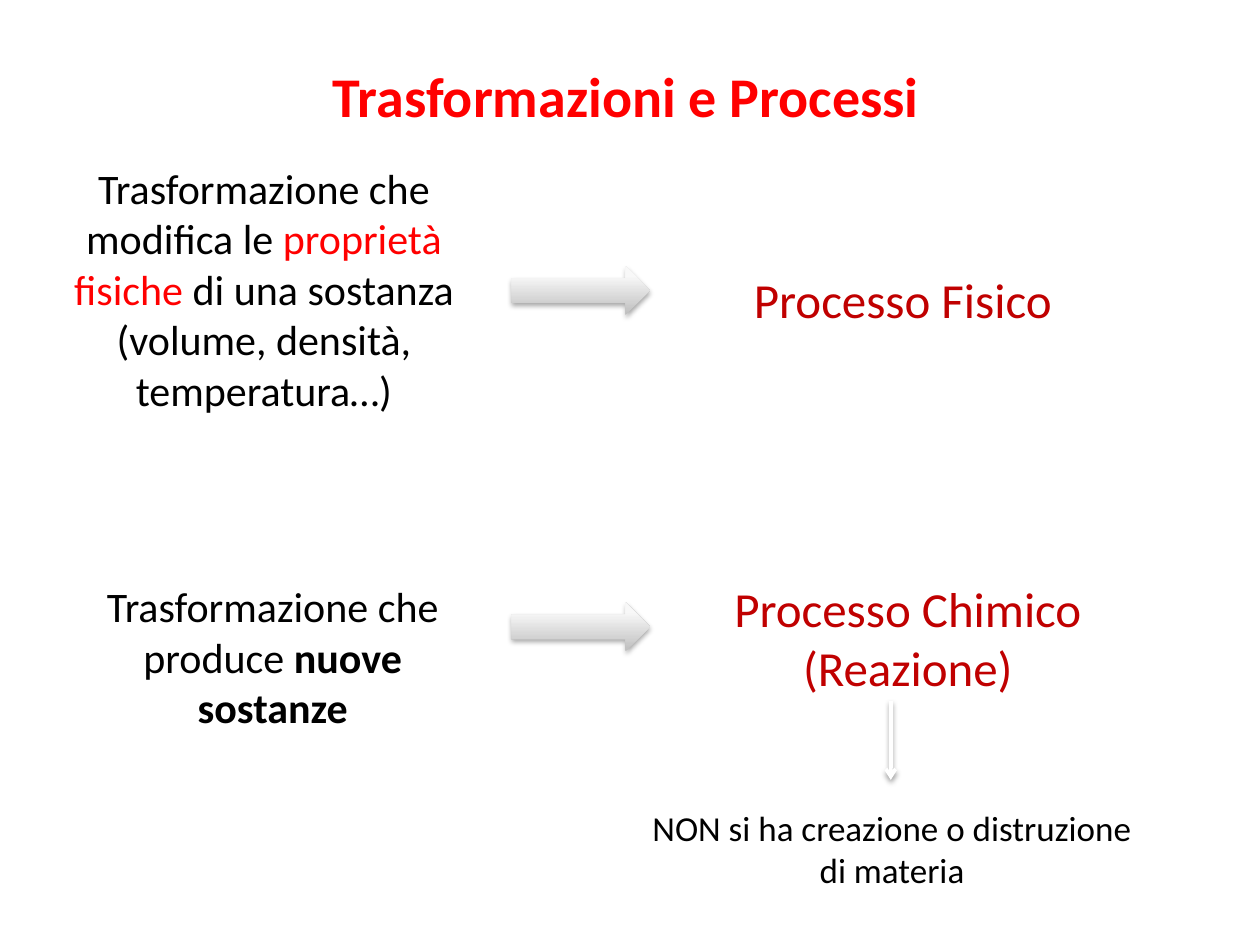
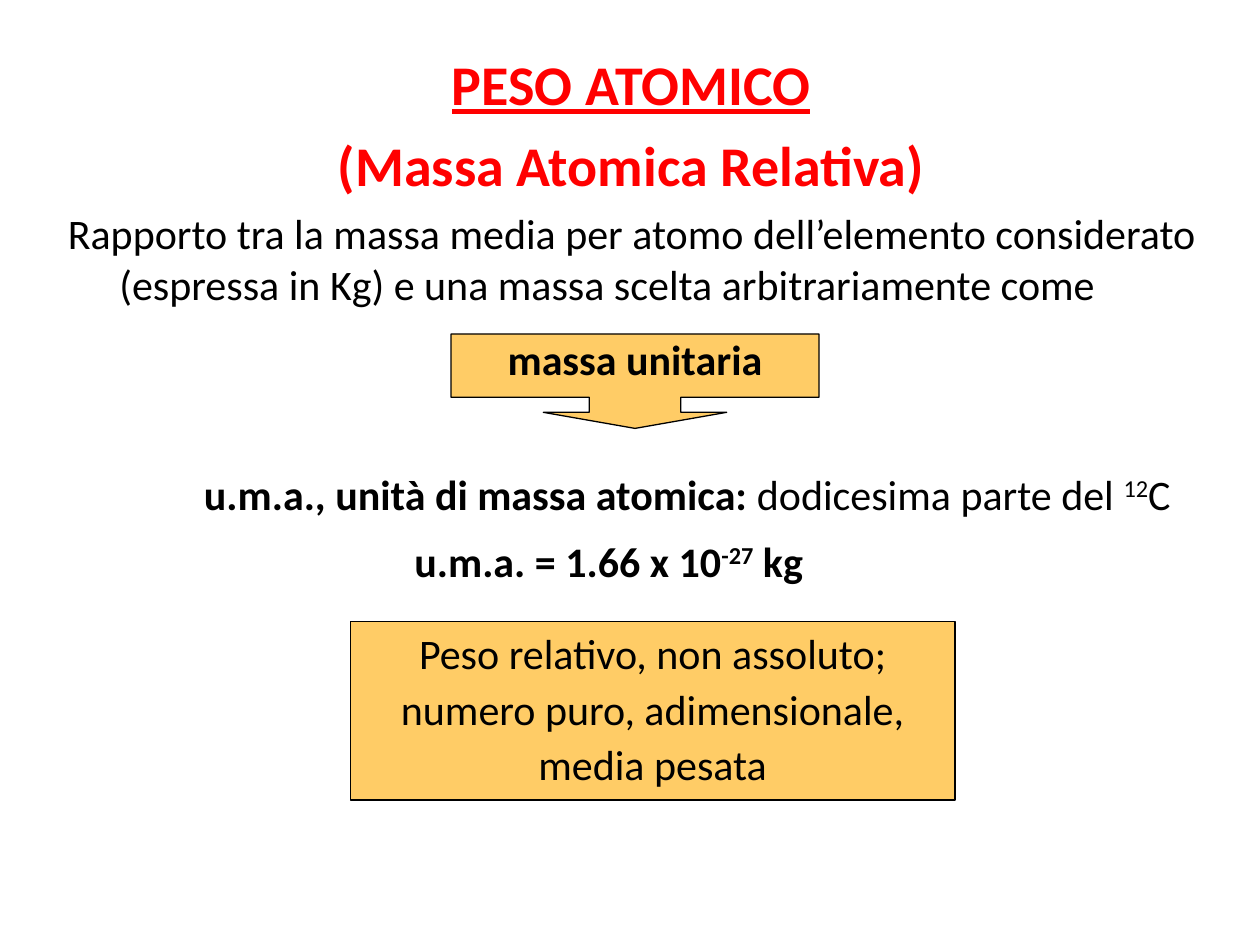
import lxml.etree
import pptx
import pptx.dml.color
import pptx.enum.shapes
import pptx.enum.text
import pptx.oxml.ns
import pptx.util

Inches = pptx.util.Inches
Pt = pptx.util.Pt
Shapes = pptx.enum.shapes.MSO_SHAPE
CENTER = pptx.enum.text.PP_ALIGN.CENTER
LEFT = pptx.enum.text.PP_ALIGN.LEFT

FONT = "Calibri"
COLORS = {
    "title": "FF0000",
    "process": "C00000",
    "text": "000000",
    "box": "FFCC66",
    "arrow_dark": "BEBEBE",
    "arrow_light": "F8F8F8",
    "line": "FFFFFF",
}
TITLE = {"size": 32, "color": "title", "bold": True}
PROCESS = {"size": 28, "color": "process"}


def rgb(name):
    """Return the named colour."""
    return pptx.dml.color.RGBColor.from_string(COLORS[name])


def format_run(run, size=24, color="text", bold=False, underline=False, baseline=0):
    """Apply the character format to a run."""
    font = run.font
    font.name, font.size = FONT, Pt(size)
    font.bold, font.underline = bold, underline
    font.color.rgb = rgb(color)
    if baseline:
        run._r.get_or_add_rPr().set("baseline", str(baseline * 1000))


def write(text_frame, paragraphs, style, align=CENTER, line_spacing=None, space_before=0):
    """Fill a frame with paragraphs, each a list of (text, format changes)."""
    text_frame.vertical_anchor = pptx.enum.text.MSO_ANCHOR.TOP
    for index, pieces in enumerate(paragraphs):
        paragraph = text_frame.add_paragraph() if index else text_frame.paragraphs[0]
        paragraph.alignment = align
        if line_spacing:
            paragraph.line_spacing = line_spacing
        if index and space_before:
            paragraph.space_before = Pt(space_before)
        for text, changes in pieces:
            run = paragraph.add_run()
            run.text = text
            format_run(run, **{**style, **changes})


def add_text(slide, left, top, width, height, paragraphs, style={}, wrap=True, **layout):
    """Add a text box and return its frame."""
    box = slide.shapes.add_textbox(Inches(left), Inches(top), Inches(width), Inches(height))
    box.text_frame.word_wrap = wrap
    write(box.text_frame, paragraphs, style, **layout)
    return box.text_frame


def add_shadow(effects, blur, distance, opacity):
    """Put a downward black shadow in an effect list."""
    tag = pptx.oxml.ns.qn
    shadow = lxml.etree.SubElement(
        effects, tag("a:outerShdw"), blurRad=str(Pt(blur)), dist=str(Pt(distance)),
        dir="5400000", rotWithShape="0")
    color = lxml.etree.SubElement(shadow, tag("a:srgbClr"), val=COLORS["text"])
    lxml.etree.SubElement(color, tag("a:alpha"), val=str(opacity * 1000))


def add_block_arrow(slide, top):
    """Add a grey arrow from a transformation to its process."""
    arrow = slide.shapes.add_shape(
        Shapes.RIGHT_ARROW, Inches(4.06), Inches(top), Inches(1.1), Inches(0.39))
    arrow.fill.gradient()
    arrow.fill.gradient_angle = 90
    dark, light = arrow.fill.gradient_stops
    dark.color.rgb, dark.position = rgb("arrow_dark"), 0
    light.color.rgb, light.position = rgb("arrow_light"), 0.8
    arrow.line.fill.background()
    arrow.shadow.inherit = False
    add_shadow(arrow._element.spPr.find(pptx.oxml.ns.qn("a:effectLst")), 3.1, 1.8, 35)


def add_line_arrow(slide, x, top, bottom):
    """Add a white vertical arrow with a shadow."""
    connector = slide.shapes.add_connector(
        pptx.enum.shapes.MSO_CONNECTOR.STRAIGHT,
        Inches(x), Inches(top), Inches(x), Inches(bottom))
    connector.line.color.rgb = rgb("line")
    connector.line.width = Pt(2)
    tag = pptx.oxml.ns.qn
    lxml.etree.SubElement(connector.line._get_or_add_ln(), tag("a:tailEnd"), type="arrow")
    effects = lxml.etree.SubElement(connector._element.spPr, tag("a:effectLst"))
    add_shadow(effects, 3.1, 1.6, 38)


def add_box(slide, kind, left, top, width, height, paragraphs, style={}, inset=0.05, **layout):
    """Add an outlined orange shape with text and return it."""
    shape = slide.shapes.add_shape(
        kind, Inches(left), Inches(top), Inches(width), Inches(height))
    shape.shadow.inherit = False
    shape.fill.solid()
    shape.fill.fore_color.rgb = rgb("box")
    shape.line.color.rgb = rgb("text")
    shape.line.width = Pt(0.75)
    shape.text_frame.margin_top = shape.text_frame.margin_bottom = Inches(inset)
    write(shape.text_frame, paragraphs, style, **layout)
    return shape


def build_processes(slide):
    """Build the slide on physical and chemical processes."""
    add_text(slide, 2.47, 0.44, 5, 0.64, [[("Trasformazioni e Processi", {})]], TITLE)
    add_text(slide, 0.44, 1.24, 3.31, 2.12, [[
        ("Trasformazione che modifica le ", {}),
        ("proprietà fisiche", {"color": "title"}),
        (" di una sostanza (volume, densità, temperatura…)", {})]])
    add_text(slide, 0.63, 4.56, 3.07, 1.31, [[
        ("Trasformazione che produce ", {}), ("nuove sostanze", {"bold": True})]])
    for top in (2.11, 4.78):
        add_block_arrow(slide, top)
    add_text(slide, 5.87, 2.09, 2.59, 0.57, [[("Processo Fisico", {})]], PROCESS, wrap=False)
    add_text(slide, 5.71, 4.54, 2.99, 1.04,
             [[("Processo Chimico", {})], [("(Reazione)", {})]], PROCESS, wrap=False)
    add_line_arrow(slide, 7.07, 5.56, 6.19)
    add_text(slide, 5, 6.35, 4.16, 0.77,
             [[("NON si ha creazione o distruzione di materia", {})]], {"size": 20})


def build_atomic_weight(slide):
    """Build the slide on atomic weight."""
    add_text(slide, 2.56, 0.24, 4.9, 1.39,
             [[("PESO ATOMICO", {"underline": True})], [("(Massa Atomica Relativa)", {})]],
             TITLE, wrap=False, line_spacing=1.2)
    definition = add_text(slide, 0.04, 1.6, 9.56, 0.91, [[
        ("Rapporto tra la massa media per atomo dell’elemento considerato "
         "(espressa in Kg) e una massa scelta arbitrariamente come", {})]])
    definition.paragraphs[0]._p.get_or_add_pPr().set("indent", str(Inches(0.39)))
    callout = add_box(slide, Shapes.DOWN_ARROW_CALLOUT, 3.58, 2.65, 2.92, 0.75,
                      [[("massa unitaria", {})]], {"bold": True}, inset=0)
    for index, value in enumerate((0.97, 0.97, 0.17, 0.67)):
        callout.adjustments[index] = value
    add_text(slide, 1.52, 3.67, 7.98, 0.5, [[
        ("u.m.a., unità di massa atomica:", {"bold": True}),
        (" dodicesima parte del ", {}), ("12", {"baseline": 30}), ("C", {})]],
        wrap=False, align=LEFT)
    add_text(slide, 3.19, 4.2, 3.42, 0.5, [[
        ("u.m.a. = 1.66 x 10", {}), ("-27", {"baseline": 30}), (" kg", {})]],
        {"bold": True}, wrap=False, align=LEFT)
    remarks = ("Peso relativo, non assoluto;", "numero puro, adimensionale,", "media pesata")
    add_box(slide, Shapes.RECTANGLE, 2.78, 4.93, 4.8, 1.42,
            [[(remark, {})] for remark in remarks], space_before=3)


def main():
    """Build and save the presentation."""
    presentation = pptx.Presentation()
    presentation.slide_width, presentation.slide_height = Inches(10), Inches(7.5)
    for build in (build_processes, build_atomic_weight):
        build(presentation.slides.add_slide(presentation.slide_layouts[6]))
    presentation.save("out.pptx")


if __name__ == "__main__":
    main()
